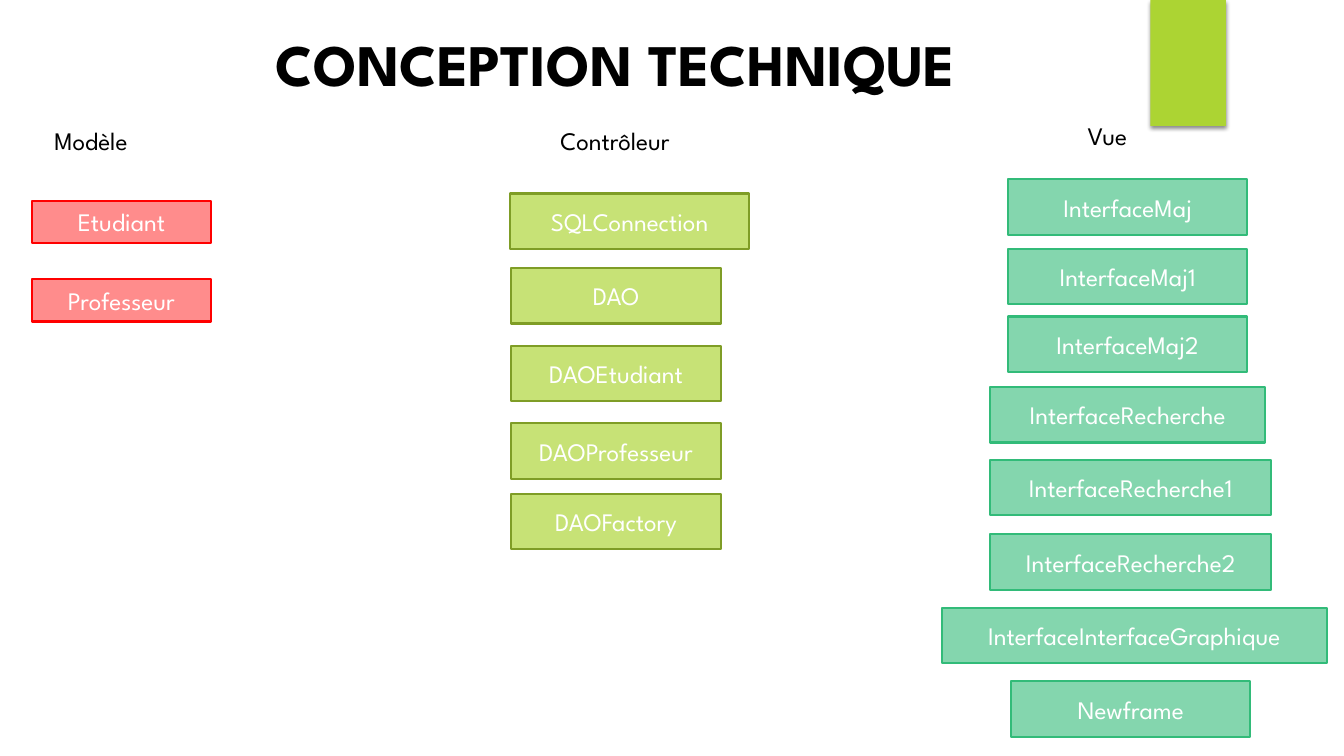
from lxml import etree
from pptx import Presentation
from pptx.dml.color import RGBColor
from pptx.enum.shapes import MSO_SHAPE
from pptx.enum.text import MSO_ANCHOR, MSO_AUTO_SIZE, PP_ALIGN
from pptx.oxml import parse_xml
from pptx.oxml.ns import qn
from pptx.util import Inches, Pt

RECTANGLE = MSO_SHAPE.RECTANGLE
MIDDLE, TOP = MSO_ANCHOR.MIDDLE, MSO_ANCHOR.TOP
CENTER, LEFT = PP_ALIGN.CENTER, PP_ALIGN.LEFT
FIT_SHAPE = MSO_AUTO_SIZE.SHAPE_TO_FIT_TEXT

COLORS = {
    "black": "000000", "white": "FFFFFF", "red": "FF0000",
    "lime": "ACD433", "olive": "7F9D26", "green": "32BB79",
}
FONT = "League Spartan"

# Fill, fill opacity in percent, outline, box height
MODEL = ("red", 45, "red", 0.42)
CONTROLLER = ("lime", 67, "olive", 0.55)
VIEW = ("green", 60, "green", 0.55)

HEADINGS = [
    ("Modèle", 0.44, 1.19, 0.99),
    ("Contrôleur", 5.46, 1.19, 1.3),
    ("Vue", 10.69, 1.14, 0.6),
]

# Name, left, top, width
CLASSES = [
    (VIEW, [
        ("InterfaceMaj", 10, 1.78, 2.37),
        ("InterfaceMaj1", 10, 2.47, 2.37),
        ("InterfaceMaj2", 10, 3.14, 2.37),
        ("InterfaceRecherche", 9.82, 3.84, 2.73),
        ("InterfaceRecherche1", 9.82, 4.56, 2.79),
        ("InterfaceRecherche2", 9.82, 5.3, 2.79),
        ("InterfaceInterfaceGraphique", 9.34, 6.03, 3.82),
        ("Newframe", 10.03, 6.76, 2.37),
    ]),
    (CONTROLLER, [
        ("SQLConnection", 5.06, 1.92, 2.37),
        ("DAO", 5.07, 2.66, 2.08),
        ("DAOEtudiant", 5.07, 3.43, 2.08),
        ("DAOProfesseur", 5.07, 4.2, 2.08),
        ("DAOFactory", 5.07, 4.9, 2.08),
    ]),
    (MODEL, [
        ("Etudiant", 0.32, 1.99, 1.77),
        ("Professeur", 0.32, 2.77, 1.77),
    ]),
]

TAB_SHADOW = (
    '<a:effectLst xmlns:a="http://schemas.openxmlformats.org/drawingml/2006/main">'
    '<a:outerShdw blurRad="38100" dist="25400" dir="5400000" rotWithShape="0">'
    '<a:srgbClr val="000000"><a:alpha val="45000"/></a:srgbClr>'
    '</a:outerShdw></a:effectLst>'
)


def color(name):
    return RGBColor.from_string(COLORS[name])


def write(shape, text, color_name, align=CENTER, anchor=MIDDLE, **font_values):
    frame = shape.text_frame
    frame.vertical_anchor = anchor
    para = frame.paragraphs[0]
    para.alignment = align
    span = para.add_run()
    span.text = text
    values = {"name": FONT, "size": Pt(18), **font_values}
    for name, value in values.items():
        setattr(span.font, name, value)
    span.font.color.rgb = color(color_name)


def add_rectangle(page, place, fill):
    box = page.shapes.add_shape(RECTANGLE, *map(Inches, place))
    box.fill.solid()
    box.fill.fore_color.rgb = color(fill)
    return box


def add_corner_tab(page):
    tab = add_rectangle(page, (11.41, 0, 0.75, 1.25), "lime")
    tab.line.fill.background()
    tab._element.spPr.append(parse_xml(TAB_SHADOW))


def add_title(page, text):
    box = page.shapes.add_textbox(*map(Inches, (1.21, -0.14, 9.79, 1.53)))
    box.text_frame.word_wrap = True
    write(box, text, "black", size=Pt(42), bold=True)


def add_heading(page, text, left, top, width):
    box = page.shapes.add_textbox(*map(Inches, (left, top, width, 0.4)))
    box.text_frame.word_wrap = False
    box.text_frame.auto_size = FIT_SHAPE
    write(box, text, "black", LEFT, TOP)


def add_class_box(page, style, name, left, top, width):
    fill, opacity, outline, height = style
    box = add_rectangle(page, (left, top, width, height), fill)
    box.shadow.inherit = False
    fill_color = box._element.spPr.find(qn("a:solidFill"))[0]
    etree.SubElement(fill_color, qn("a:alpha"), val=str(opacity * 1000))
    box.line.color.rgb = color(outline)
    box.line.width = Pt(1.5)
    box.text_frame.word_wrap = True
    write(box, name, "white")


def main():
    deck = Presentation()
    deck.slide_width, deck.slide_height = Inches(13.33), Inches(7.5)
    page = deck.slides.add_slide(deck.slide_layouts[6])
    add_corner_tab(page)
    add_title(page, "CONCEPTION TECHNIQUE")
    for heading in HEADINGS:
        add_heading(page, *heading)
    for style, boxes in CLASSES:
        for box in boxes:
            add_class_box(page, style, *box)
    deck.save("out.pptx")


if __name__ == "__main__":
    main()
